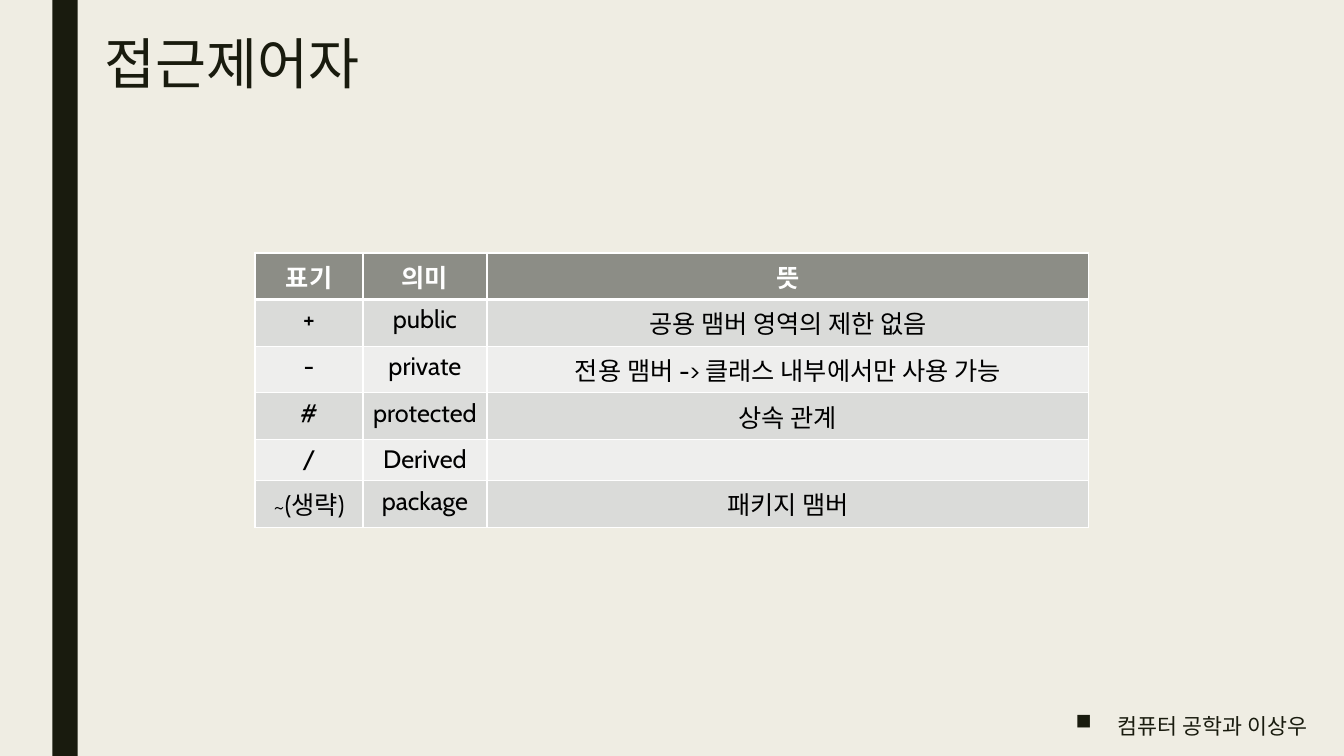
from lxml import etree
from pptx import Presentation, util as u
from pptx.dml.color import RGBColor
from pptx.enum import shapes, text
from pptx.oxml.ns import qn

W, H = 13.33, 7.5
FONT = "Cabin"
INK, PAPER, WHITE, BLACK = "191B0E", "EFEDE3", "FFFFFF", "000000"
HEAD, BANDS = "8C8D86", ("DADBD9", "EEEEED")
COLS = (1.07, 1.23, 5.97)
ROWS = (
    ("표기", "의미", "뜻"),
    ("+", "public", "공용 맴버 영역의 제한 없음"),
    ("-", "private", "전용 맴버 -> 클래스 내부에서만 사용 가능"),
    ("#", "protected", "상속 관계"),
    ("/", "Derived", ""),
    ("~(생략)", "package", "패키지 맴버"),
)


def paint(fill, hue):
    fill.solid()
    fill.fore_color.rgb = RGBColor.from_string(hue)


def box(*dims):
    return [u.Inches(d) for d in dims]


def write(para, words, size, hue, bold=False):
    run = para.add_run()
    run.text = words
    font = run.font
    font.name, font.size, font.bold = FONT, u.Pt(size), bold
    font.color.rgb = RGBColor.from_string(hue)


def add_bar(slide):
    bar = slide.shapes.add_shape(
        shapes.MSO_SHAPE.RECTANGLE, *box(0.52, 0, 0.25, H))
    bar.shadow.inherit = False
    paint(bar.fill, INK)
    bar.line.fill.background()


def add_title(slide, words):
    title = slide.shapes.title
    title.left, title.top, title.width, title.height = box(0.94, 0.29, 3.93, 0.74)
    frame = title.text_frame
    frame.word_wrap = True
    frame.auto_size = text.MSO_AUTO_SIZE.NONE
    frame.vertical_anchor = text.MSO_ANCHOR.MIDDLE
    para = frame.paragraphs[0]
    para.alignment = text.PP_ALIGN.LEFT
    para.line_spacing = 0.89
    write(para, words, 39.6, INK)


def add_author(slide, words):
    frame = slide.shapes.add_textbox(*box(10.57, 7.08, 2.86, 0.42)).text_frame
    frame.word_wrap = True
    para = frame.paragraphs[0]
    props = para._p.get_or_add_pPr()
    indent = u.Inches(0.42)
    props.set("marL", str(indent))
    props.set("indent", str(-indent))
    etree.SubElement(props, qn("a:buChar"), char="■")
    para.line_spacing = 0.74
    para.space_after = u.Pt(2)
    write(para, words, 15.5, INK)


def add_edges(cell, widths):
    props = cell._tc.get_or_add_tcPr()
    for side, width in zip("LRTB", widths):
        line = etree.SubElement(props, qn(f"a:ln{side}"), w=str(u.Pt(width)))
        fill = etree.SubElement(line, qn("a:solidFill"))
        etree.SubElement(fill, qn("a:srgbClr"), val=WHITE)


def add_grid(slide):
    high = 0.41
    grid = slide.shapes.add_table(
        len(ROWS), len(COLS), *box(2.53, 2.51, sum(COLS), high * len(ROWS))).table
    for col, width in zip(grid.columns, COLS):
        col.width = u.Inches(width)
    for r, row in enumerate(ROWS):
        grid.rows[r].height = u.Inches(high)
        top = r == 0
        for c, words in enumerate(row):
            cell = grid.cell(r, c)
            add_edges(cell, (1, 1, 3 if r == 1 else 1, 3 if top else 1))
            paint(cell.fill, HEAD if top else BANDS[(r - 1) % 2])
            para = cell.text_frame.paragraphs[0]
            para.alignment = text.PP_ALIGN.CENTER
            if words:
                write(para, words, 18, WHITE if top else BLACK, top)


def main():
    deck = Presentation()
    deck.slide_width, deck.slide_height = box(W, H)
    slide = deck.slides.add_slide(deck.slide_layouts[5])
    paint(slide.background.fill, PAPER)
    # Side bar and heading
    add_bar(slide)
    add_title(slide, "접근제어자")
    # Access modifiers
    add_grid(slide)
    # Author line
    add_author(slide, "컴퓨터 공학과 이상우")
    deck.save("out.pptx")


if __name__ == "__main__":
    main()
